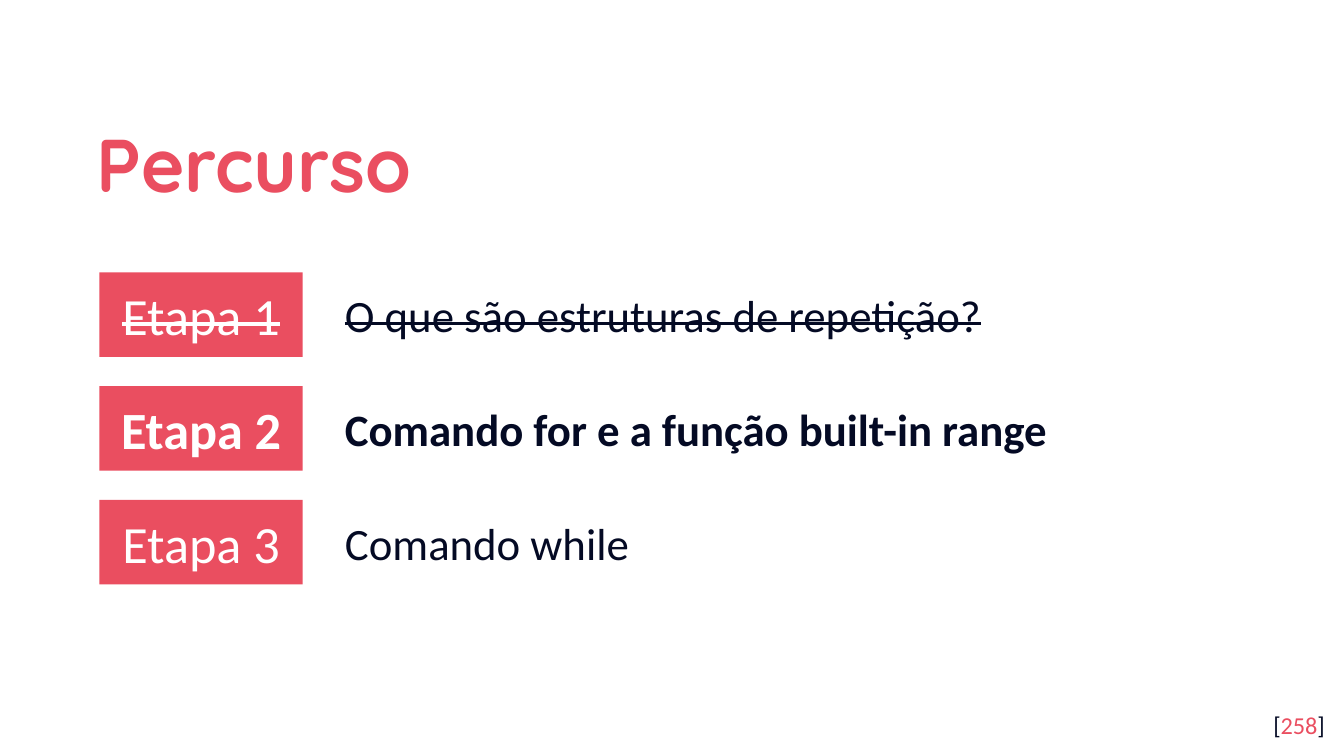
from pptx import Presentation
from pptx.dml.color import RGBColor
from pptx.enum.shapes import MSO_SHAPE
from pptx.enum.text import MSO_ANCHOR, MSO_AUTO_SIZE, PP_ALIGN
from pptx.util import Cm, Pt

COLORS = {"coral": "EA4E60", "navy": "040A24", "white": "FFFFFF"}
STEPS = [
    ("Etapa 1", "O que são estruturas de repetição?", "done"),
    ("Etapa 2", "Comando for e a função built-in range", "current"),
    ("Etapa 3", "Comando while", "next"),
]
FIRST_TOP, STEP_PITCH, BOX_HEIGHT, TEXT_HEIGHT = 5.15, 2.15, 1.6, 1.27


def set_frame(shape, anchor, vertical_inset=0.25):
    """Set wrapping, anchor and insets, and return the first paragraph."""
    frame = shape.text_frame
    frame.word_wrap = True
    frame.auto_size = MSO_AUTO_SIZE.NONE
    frame.vertical_anchor = anchor
    frame.margin_left = frame.margin_right = Cm(0.25)
    frame.margin_top = frame.margin_bottom = Cm(vertical_inset)
    return frame.paragraphs[0]


def add_run(paragraph, text, size, color, font="Calibri", state="next"):
    """Add a run: a done step is struck through, a current one is bold."""
    run = paragraph.add_run()
    run.text = text
    run.font.name = font
    run.font.size = Pt(size)
    run.font.bold = state == "current"
    run.font.color.rgb = RGBColor.from_string(COLORS[color])
    if state == "done":
        run._r.get_or_add_rPr().set("strike", "sngStrike")


presentation = Presentation()
presentation.slide_width = Cm(25.4)
presentation.slide_height = Cm(14.29)
slide = presentation.slides.add_slide(presentation.slide_layouts[5])
slide.background.fill.solid()
slide.background.fill.fore_color.rgb = RGBColor.from_string(COLORS["white"])

# Title
title = slide.shapes.title
title.left, title.top, title.width, title.height = Cm(1.58), Cm(1.78), Cm(20.57), Cm(2.34)
paragraph = set_frame(title, MSO_ANCHOR.MIDDLE)
paragraph.alignment = PP_ALIGN.LEFT
paragraph.line_spacing = 1.15
add_run(paragraph, "Percurso", 40, "coral", "Quicksand", "current")

# Steps: a coloured label and its topic, one row each
for index, (label, topic, state) in enumerate(STEPS):
    top = FIRST_TOP + index * STEP_PITCH
    box = slide.shapes.add_shape(
        MSO_SHAPE.RECTANGLE, Cm(1.88), Cm(top), Cm(3.84), Cm(BOX_HEIGHT))
    box.shadow.inherit = False
    box.fill.solid()
    box.fill.fore_color.rgb = RGBColor.from_string(COLORS["coral"])
    box.line.fill.background()
    paragraph = set_frame(box, MSO_ANCHOR.MIDDLE)
    paragraph.alignment = PP_ALIGN.CENTER
    add_run(paragraph, label, 28, "white", state=state)

    topic_top = top + (BOX_HEIGHT - TEXT_HEIGHT) / 2
    topic_box = slide.shapes.add_textbox(
        Cm(6.27), Cm(topic_top), Cm(17.15), Cm(TEXT_HEIGHT))
    paragraph = set_frame(topic_box, MSO_ANCHOR.TOP, 0.13)
    add_run(paragraph, topic, 24, "navy", state=state)

# Page number
page_number = slide.shapes.add_textbox(Cm(23.77), Cm(13.18), Cm(1.52), Cm(1.09))
paragraph = set_frame(page_number, MSO_ANCHOR.TOP)
paragraph.alignment = PP_ALIGN.RIGHT
for text, color in (("[", "navy"), ("258", "coral"), ("]", "navy")):
    add_run(paragraph, text, 13, color)

presentation.save("out.pptx")
